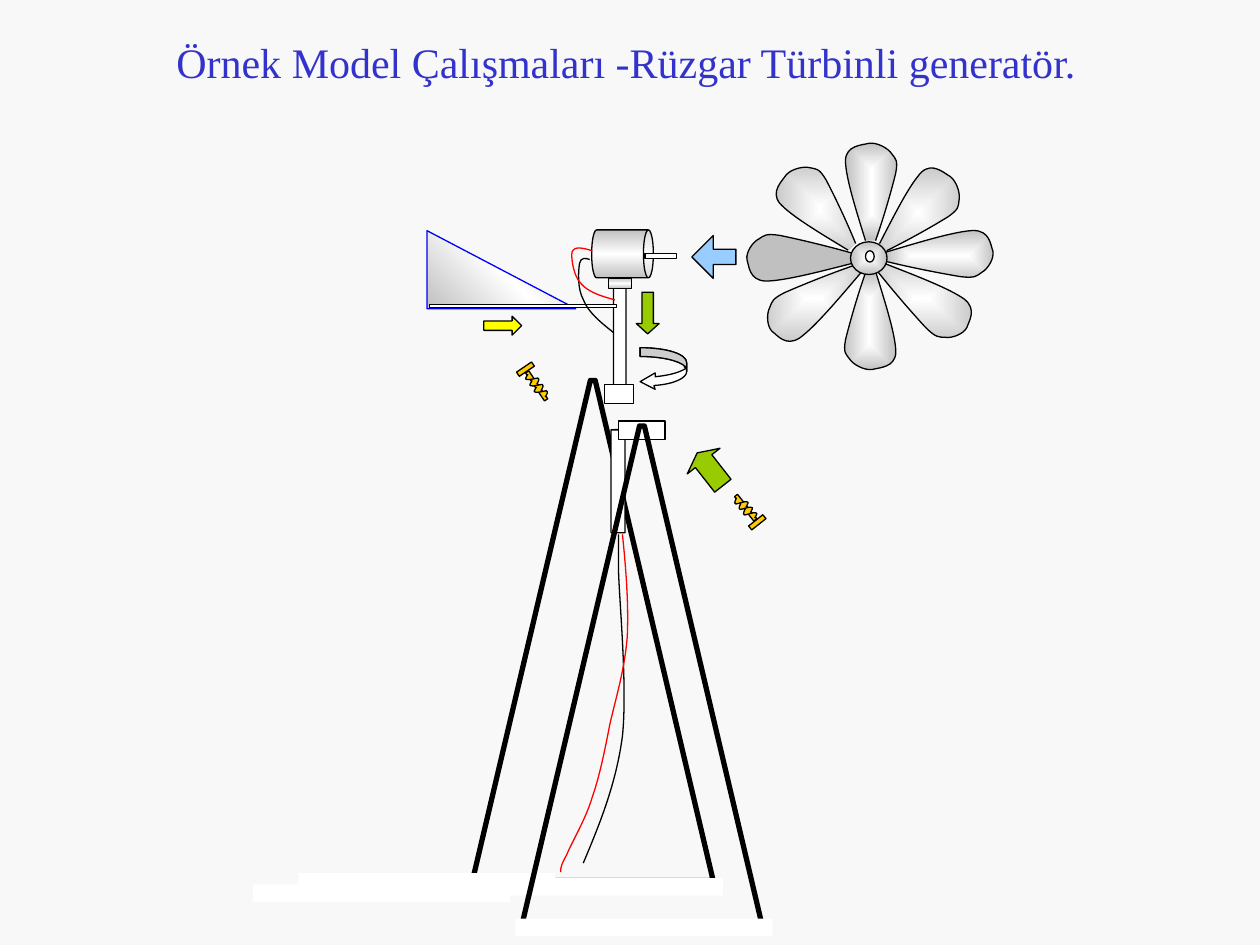
import math
from pptx import Presentation
from pptx.dml.color import RGBColor
from pptx.enum.shapes import MSO_SHAPE
from pptx.enum.text import MSO_ANCHOR, PP_ALIGN
from pptx.oxml import parse_xml
from pptx.oxml.ns import nsdecls, qn
from pptx.util import Pt

RECT, ELLIPSE, CAN = MSO_SHAPE.RECTANGLE, MSO_SHAPE.OVAL, MSO_SHAPE.CAN
TRIANGLE = MSO_SHAPE.RIGHT_TRIANGLE
LEFT, RIGHT, DOWN = MSO_SHAPE.LEFT_ARROW, MSO_SHAPE.RIGHT_ARROW, MSO_SHAPE.DOWN_ARROW
CENTER, MIDDLE = PP_ALIGN.CENTER, MSO_ANCHOR.MIDDLE

WHITE, BLACK, GRAY, GOLD = "FFFFFF", "000000", "C0C0C0", "FFCC00"
GREEN, RED = "99CC00", "FF0000"
RADIAL = ([(0, WHITE), (100, GRAY)], None)
SHEEN = [(0, GRAY), (50, WHITE), (100, GRAY)]

# Outlines: a start point, then lines (x, y) and curves (two controls, end)
BLADE = [(.38, 1), (.19, .67, 0, .35, 0, .18), (.02, .03, .31, .03, .45, .01),
         (.6, 0, .81, .06, .88, .12), (.95, .17, 1, .18, .95, .32),
         (.88, .47, .74, .74, .57, 1)]
COIL = [(0, .55), (.1, .75, .17, 1, .27, .85), (.4, .8, .6, .18, .66, .1),
        (.83, 0, .9, .26, 1, .43)]
LEGS = [(1, 1), (0, 1), (.49, 0), (.51, 0)]


def color(value):
    return RGBColor.from_string(value)


def write(tf, text, size, font, fill):
    tf.vertical_anchor, tf.word_wrap = MIDDLE, True
    p = tf.paragraphs[0]
    p.alignment = CENTER
    r = p.add_run()
    r.text = text
    r.font.size, r.font.name = Pt(size), font
    r.font.color.rgb = color(fill)


def gradient(sp, stops, angle):
    """Fill with a linear gradient, or from the centre when angle is None."""
    gs = "".join(f'<a:gs pos="{pos * 1000}"><a:srgbClr val="{c}"/></a:gs>'
                 for pos, c in stops)
    if angle is None:
        shade = ('<a:path path="rect"><a:fillToRect l="50000" t="50000" '
                 'r="50000" b="50000"/></a:path>')
    else:
        shade = f'<a:lin ang="{angle * 60000}" scaled="0"/>'
    sp.fill.gradient()
    old = sp.element.spPr.find(qn("a:gradFill"))
    old.getparent().replace(old, parse_xml(
        f'<a:gradFill {nsdecls("a")} rotWithShape="{int(angle is None)}">'
        f'<a:gsLst>{gs}</a:gsLst>{shade}</a:gradFill>'))


def style(sp, fill=None, line=BLACK, width=.75, rot=0):
    sp.shadow.inherit = False
    sp.rotation = rot
    if fill is None:
        sp.fill.background()
    elif isinstance(fill, tuple):
        gradient(sp, *fill)
    else:
        sp.fill.solid()
        sp.fill.fore_color.rgb = color(fill)
    if line is None:
        sp.line.fill.background()
    else:
        sp.line.color.rgb = color(line)
        sp.line.width = Pt(width)


def shape(shapes, kind, x, y, w, h, fill=WHITE, adj=(), **fmt):
    sp = shapes.add_shape(kind, Pt(x), Pt(y), Pt(w), Pt(h))
    for i, value in enumerate(adj):
        sp.adjustments[i] = value
    style(sp, fill, **fmt)


def outline(shapes, x, y, segments, sx=1, sy=1, closed=False, **fmt):
    """Draw segments scaled by sx, sy from x, y; six numbers make a curve."""
    pts = [(Pt(x + sx * s[i]), Pt(y + sy * s[i + 1]))
           for s in segments for i in range(0, len(s), 2)]
    fb = shapes.build_freeform(*pts[0], scale=1.0)
    fb.add_line_segments(pts[1:], close=closed)
    sp = fb.convert_to_shape()
    steps = iter(sp.element.findall(".//" + qn("a:lnTo")))
    for s in segments[1:]:
        step = next(steps)
        if len(s) == 6:
            step.tag = qn("a:cubicBezTo")
            for extra in (next(steps), next(steps)):
                step.append(extra[0])
                extra.getparent().remove(extra)
    style(sp, **fmt)


def pad(shapes, x, y):
    shape(shapes, RECT, x, y, 146.9, 10.1, line=None)


def wheel(shapes, x, y):
    """Blades and hub around the centre x, y."""
    short, long = (30.2, 56.2), (27.4, 61.9)
    for dx, dy, (w, h), rot in [
            (1.8, -38.2, short, 0), (.4, 36, short, 180),
            (40.7, -1.4, long, 87.7), (-31.3, 23, long, 234.8),
            (28.5, -25.9, short, 44.4), (-39.2, -.7, long, 270),
            (30.6, 23, long, 125.6), (-27.7, -28.1, short, 318.4)]:
        outline(shapes, x + dx - w / 2, y + dy - h / 2, BLADE, w, h,
                fill=GRAY if rot == 270 else RADIAL, rot=rot)
    shape(shapes, ELLIPSE, x - 10.4, y - 9.4, 20.9, 18.7, RADIAL)
    shape(shapes, ELLIPSE, x - 1.8, y - 4.3, 5, 6.5)


def tripod(shapes, x, y, pad_y):
    outline(shapes, x, y, LEGS, 137.5, 285.8, closed=True, width=3)
    pad(shapes, x - 3.6, pad_y)


def mast(shapes, x, y):
    """Tubes, bracket and motor; x, y is the motor's top left."""
    shape(shapes, CAN, x + 11.2, y + 114.5, 7.9, 59, adj=[.024])
    shape(shapes, RECT, x + 15.5, y + 109.5, 26.6, 10.8)
    shape(shapes, CAN, x + 12.6, y + 26.7, 7.2, 69.1, adj=[.024])
    shape(shapes, CAN, x + 4, y - 3.6, 27.4, 35.3, (SHEEN, 90), [.207], rot=90)
    shape(shapes, RECT, x + 9.8, y + 28.1, 13, 5.8, (SHEEN, 90))
    shape(shapes, RECT, x + 7.6, y + 88.6, 16.6, 10.8)


def vane(shapes, x, y):
    shape(shapes, TRIANGLE, x, y, 85, 44.6, (SHEEN, 135), line="0000FF")
    shape(shapes, RECT, x + 1.5, y + 42.4, 106.6, 1.4)


def motor_wires(shapes, x, y):
    shape(shapes, RECT, x + 30.6, y + 13.7, 18, 2.9)  # axle
    outline(shapes, x, y, [
        (-1, 17.3), (-3.2, 16.6, -6.1, 15.9, -6.8, 19.5),
        (-7.5, 23.8, -8.2, 33.9, -4.6, 40.4), (-1.8, 47.6, 5.4, 53.3, 12.6, 59.1)])
    outline(shapes, x, y, [
        (.4, 12.3), (-4.6, 10.8, -9.7, 9.4, -11.1, 13),
        (-11.8, 15.9, -10.4, 26.7, -6.1, 31), (-1.8, 36, 5.4, 38.2, 13.4, 40.4)],
        line=RED)


def hanging_wires(shapes, x, y):
    outline(shapes, x, y, [
        (0, 0), (0, 1.4, 0, 2.9, 0, 22.3), (.7, 41.8, 5, 87.8, 2.2, 115.2),
        (-1.4, 142.6, -10.8, 165.6, -20.2, 187.9)])
    outline(shapes, x, y, [
        (2.2, 0), (4.3, 20.2, 5.8, 40.3, 5, 58.3),
        (3.6, 77, -1.4, 92.9, -5, 108.7), (-7.9, 123.8, -10.8, 138.2, -15.1, 150.5),
        (-18.7, 162.7, -26.6, 175.7, -29.5, 182.9),
        (-33.1, 189.4, -33.1, 190.8, -33.1, 193)], line=RED)


def screw(shapes, x, y, rot, reach):
    """Head centred on x, y; rod and coils follow along the angle rot."""
    ux, uy = math.cos(math.radians(rot)), math.sin(math.radians(rot))
    rod = 1.68 * reach
    shape(shapes, RECT, x - 1.4, y - 5.2, 2.9, 10.4, GOLD, rot=rot)
    shape(shapes, RECT, x + reach * ux - rod / 2, y + reach * uy - 1.1, rod, 2.2,
          GOLD, rot=rot)
    for part in (.61, .99, 1.37):
        outline(shapes, x + part * reach * ux - 3.8, y + part * reach * uy - 3.8,
                COIL, 7.6, 7.6, fill=GOLD, rot=rot)


def turn_arrow(shapes, x, y):
    top = [(0, 0), (15.1, 0, 26.6, 3.6, 26.6, 8.6), (26.6, 13.7)]
    inner = [(25.9, 10.8), (22.3, 7.2, 11.5, 5, 0, 5)]
    head = [(26.6, 17.3, 19.4, 20.9, 7.9, 21.6), (8.6, 23.8), (0, 19.4),
            (8.6, 14.4), (8.6, 16.6), (17.3, 15.8, 23.8, 13.7, 26.6, 11.5)]
    fold = [(26.6, 12.2, 26.6, 11.5, 25.2, 10.8)]
    for middle, fill in ((head, WHITE), (fold, "CDCDCD")):
        outline(shapes, x, y, top + middle + inner, closed=True, fill=fill)


def arrows(shapes):
    shape(shapes, LEFT, 393.8, 256.3, 23.8, 23.8, GREEN, [.5, .25], rot=51.9)
    shape(shapes, RIGHT, 276.5, 180.7, 21.6, 10.8, "FFFF00", [.5, .5])
    shape(shapes, LEFT, 395.3, 134.6, 25.2, 24.5, "99CCFF", [.36, .5])
    shape(shapes, DOWN, 363.6, 167, 13, 23.8, GREEN, [.5, .45])
    turn_arrow(shapes, 365.8, 198.7)


def title(s, x, y, w, h):
    sp = s.shapes.title
    sp.left, sp.top, sp.width, sp.height = Pt(x), Pt(y), Pt(w), Pt(h)
    write(sp.text_frame, "Örnek Model Çalışmaları -Rüzgar Türbinli generatör.",
          size=24, font="Times New Roman", fill="3333CC")


def main():
    prs = Presentation()
    prs.slide_width, prs.slide_height = Pt(720), Pt(540)
    s = prs.slides.add_slide(prs.slide_layouts[5])
    s.background.fill.solid()
    s.background.fill.fore_color.rgb = color("F8F8F8")
    title(s, 44.6, 20.2, 626.4, 30.2)

    # Turbine model, from back to front
    shapes = s.shapes.add_group_shape().shapes
    pad(shapes, 144.7, 505.4)
    wheel(shapes, 496.4, 147.6)
    tripod(shapes, 270, 217.4, 501.8)
    mast(shapes, 338, 131)
    pad(shapes, 170.6, 499)
    tripod(shapes, 298.1, 243.4, 524.9)
    vane(shapes, 244, 131.8)
    motor_wires(shapes, 338, 131)
    hanging_wires(shapes, 353.5, 305.3)
    screw(shapes, 300.2, 211, 55.9, 11.5)
    screw(shapes, 432.7, 298.4, 231.6, 10.6)
    arrows(shapes)
    prs.save("out.pptx")


if __name__ == "__main__":
    main()
